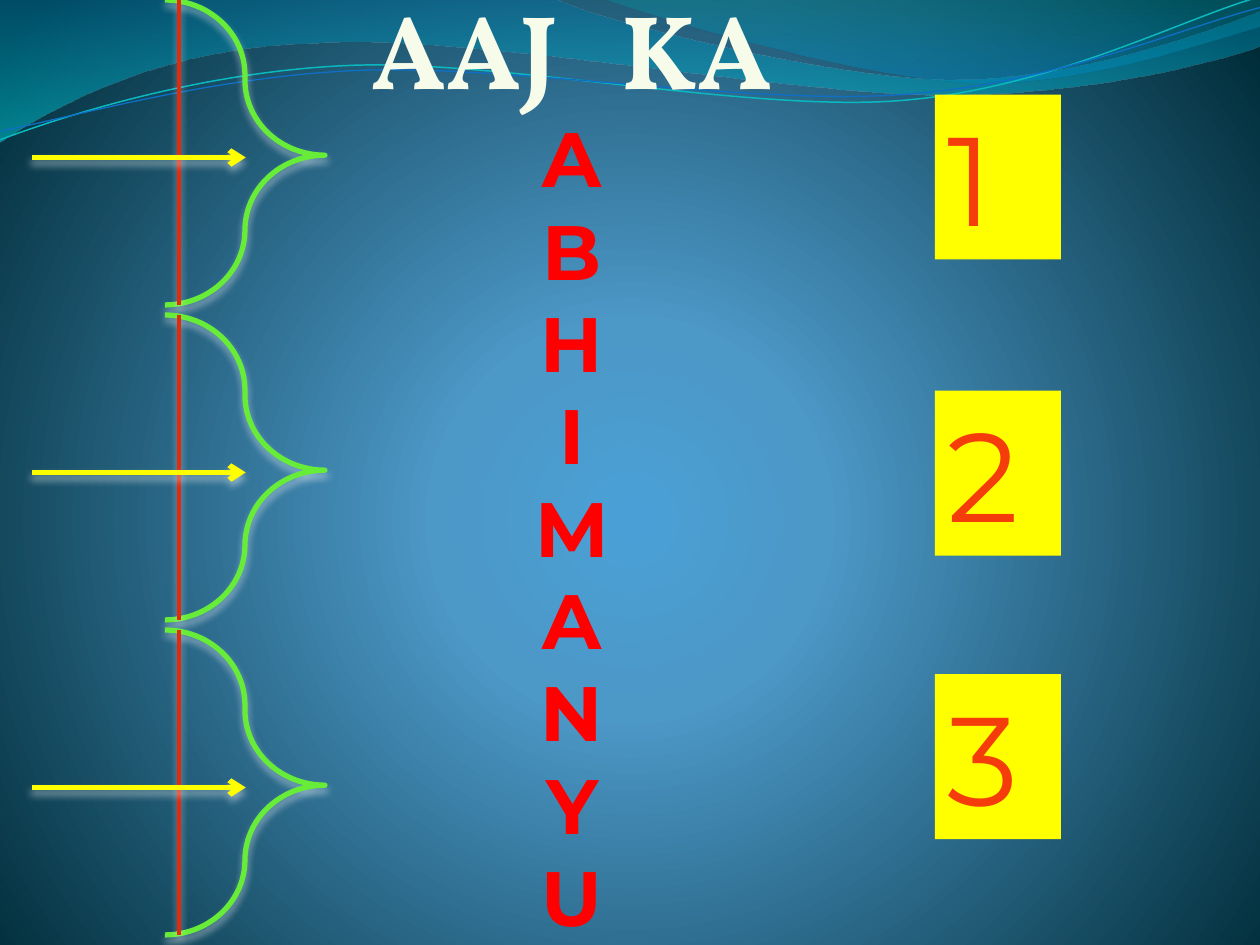
from lxml.etree import SubElement
from pptx import Presentation
from pptx.dml.color import RGBColor
from pptx.enum.shapes import MSO_CONNECTOR, MSO_SHAPE
from pptx.enum.text import MSO_AUTO_SIZE, PP_ALIGN
from pptx.oxml.ns import qn
from pptx.util import Inches, Pt

LETTERS = "ABHIMANYU"
NUMBERS = [("1", 0.75), ("2", 3.1), ("3", 5.35)]
TIERS = [0, 2.5, 5]

BAND = [(0, 0), (4.4, -0.01), (4.76, 0.17, 6.64, 0.63, 7.58, 0.63),
        (8.53, 0.63, 9.58, 0.26, 10, 0.09), (10.01, 0.36),
        (9.83, 0.44, 8.7, 0.76, 7.46, 0.75), (6.22, 0.75, 3.82, 0.28, 2.57, 0.34),
        (1.29, 0.36, 0.46, 0.83, -0.01, 1.13)]
CREST = [(4.79, -0.01), (5.09, 0.11, 6.82, 0.62, 7.69, 0.65),
         (8.56, 0.69, 9.61, 0.32, 10, 0.21), (10, 0)]
TEAL = [(0, 1.11), (0.48, 0.93, 1.58, 0.57, 2.77, 0.52),
        (3.95, 0.47, 5.93, 0.89, 7.13, 0.8), (8.33, 0.71, 9.38, 0.15, 9.98, -0.02)]
BLUE = [(0, 1.04), (0.47, 0.96, 1.64, 0.61, 2.83, 0.56),
        (4.03, 0.51, 5.97, 0.84, 7.17, 0.75), (8.36, 0.67, 9.41, 0.21, 10, 0.06)]


def color(code):
    """Turn a hex string into a colour."""
    return RGBColor.from_string(code)


def node(parent, tag, **attrs):
    """Add a drawing element with its attributes."""
    return SubElement(parent, qn("a:" + tag), {k: str(v) for k, v in attrs.items()})


def tint(parent, code, alpha):
    """Add a colour with its opacity in percent."""
    node(node(parent, "srgbClr", val=code), "alpha", val=alpha * 1000)


class Painter:
    """Holds the style and the current slide."""

    head = "Vollkorn"
    body = "Montserrat"

    def __init__(self, slide):
        """Keep the slide to draw on."""
        self.slide = slide
        self.shapes = slide.shapes

    def blend(self, fill, root, stops, circle=False):
        """Give a fill a gradient of several stops."""
        fill.gradient()
        grad = next(root.iter(qn("a:gradFill")))
        for child in list(grad):
            grad.remove(child)
        chain = node(grad, "gsLst")
        for place, code, alpha in stops:
            tint(node(chain, "gs", pos=place * 1000), code, alpha)
        if circle:
            route = node(grad, "path", path="circle")
            node(route, "fillToRect", l=10000, t=110000, r=10000, b=100000)
        else:
            node(grad, "lin", ang=5400000, scaled=1)

    def backdrop(self, stops):
        """Paint the background from its centre outwards."""
        self.blend(self.slide.background.fill, self.slide.element, stops, True)

    def curve(self, path, close):
        """Draw a freeform, with six-number parts as cubic curves."""
        points = [(Inches(part[i]), Inches(part[i + 1]))
                  for part in path for i in range(0, len(part), 2)]
        pen = self.shapes.build_freeform(*points[0])
        pen.add_line_segments(points[1:], close=close)
        shape = pen.convert_to_shape()
        shape.shadow.inherit = False
        legs = shape.element.iter(qn("a:lnTo"))
        for part, leg in zip(path[1:], self.group(path[1:], list(legs))):
            if len(part) == 6:
                bend = leg[0].makeelement(qn("a:cubicBezTo"))
                leg[0].addprevious(bend)
                for old in leg:
                    bend.append(old[0])
                    old.getparent().remove(old)
        return shape

    def group(self, path, legs):
        """Split the segments by the parts they belong to."""
        queue = iter(legs)
        return [[next(queue) for _ in range(len(part) // 2)] for part in path]

    def wave(self, path, stops):
        """Draw a filled wave."""
        shape = self.curve(path, True)
        self.blend(shape.fill, shape.element, stops)
        shape.line.fill.background()

    def thread(self, path, code, width):
        """Draw a thin open wave."""
        shape = self.curve(path, False)
        shape.fill.background()
        self.ink(shape, code, width)

    def ink(self, shape, code, width):
        """Set the line of a shape."""
        shape.line.color.rgb = color(code)
        shape.line.width = Pt(width)

    def shade(self, shape):
        """Drop a soft pale shadow below a shape."""
        effect = node(shape.element.spPr, "effectLst")
        drop = node(effect, "outerShdw", blurRad=Pt(4.5), dist=Pt(3),
                    dir=5400000, rotWithShape=0)
        tint(drop, "FFFFFF", 48)

    def brace(self, top):
        """Draw the green bow."""
        shape = self.shapes.add_shape(MSO_SHAPE.LEFT_BRACE, Inches(1.31), Inches(top),
                                      Inches(1.27), Inches(2.42))
        shape.element.spPr.get_or_add_xfrm().set("flipH", "1")
        shape.adjustments[0] = 0.838
        shape.adjustments[1] = 0.509
        shape.fill.background()
        self.ink(shape, "67EC38", 3)
        self.shade(shape)

    def line(self, start, end, code, width, arrow=False):
        """Draw a straight line or an arrow."""
        ends = [Inches(v) for v in (*start, *end)]
        link = self.shapes.add_connector(MSO_CONNECTOR.STRAIGHT, *ends)
        self.ink(link, code, width)
        if arrow:
            node(link.element.spPr.find(qn("a:ln")), "tailEnd", type="arrow")
        self.shade(link)

    def box(self, left, top, width, height, wrap):
        """Add a text box that fits its text."""
        box = self.shapes.add_textbox(*[Inches(v) for v in (left, top, width, height)])
        box.text_frame.word_wrap = wrap
        box.text_frame.auto_size = MSO_AUTO_SIZE.SHAPE_TO_FIT_TEXT
        return box

    def style(self, para, name, size, code, bold=False):
        """Set the font of a paragraph."""
        font = para.font
        font.name, font.size, font.bold = name, Pt(size), bold
        font.color.rgb = color(code)

    def title(self, words, letters):
        """Write the heading and a column of letters."""
        frame = self.box(2.83, -0.17, 3.42, 7.78, False).text_frame
        para = frame.paragraphs[0]
        para.alignment = PP_ALIGN.CENTER
        self.style(para, self.head, 60, "F6FBEA", True)
        for text in (words[0], " ", words[1]):
            run = para.add_run()
            run.text = text
            if text == " ":
                run._r.get_or_add_rPr().set("spc", "2400")
        for letter in letters:
            para = frame.add_paragraph()
            para.text = letter
            para.alignment = PP_ALIGN.CENTER
            self.style(para, self.body, 44, "FF0000", True)

    def number(self, text, top):
        """Write a number on a yellow card."""
        card = self.box(7.42, top, 1, 1.31, True)
        card.fill.solid()
        card.fill.fore_color.rgb = color("FFFF00")
        para = card.text_frame.paragraphs[0]
        para.text = text
        self.style(para, self.body, 72, "F53D0B")


def main():
    """Build the slide and save it."""
    deck = Presentation()
    deck.slide_width, deck.slide_height = Inches(10), Inches(7.5)
    art = Painter(deck.slides.add_slide(deck.slide_layouts[6]))
    art.backdrop([(0, "4AA0D6", 100), (25, "4C98C7", 100), (100, "002C38", 100)])
    art.wave(BAND, [(0, "0074A1", 45), (100, "00C6CF", 55)])
    art.wave(CREST, [(0, "00A1A9", 30), (80, "008BBF", 45)])
    art.thread(TEAL, "0AB8BF", 0.85)
    art.thread(BLUE, "0F6FC6", 0.75)
    art.title(("AAJ", "KA"), LETTERS)
    for top in TIERS:
        art.brace(top)
        art.line((1.42, top), (1.42, top + 2.42), "E6290A", 2)
        art.line((0.25, top + 1.25), (1.95, top + 1.25), "FFFF00", 3, True)
    for text, top in NUMBERS:
        art.number(text, top)
    deck.save("out.pptx")


if __name__ == "__main__":
    main()
